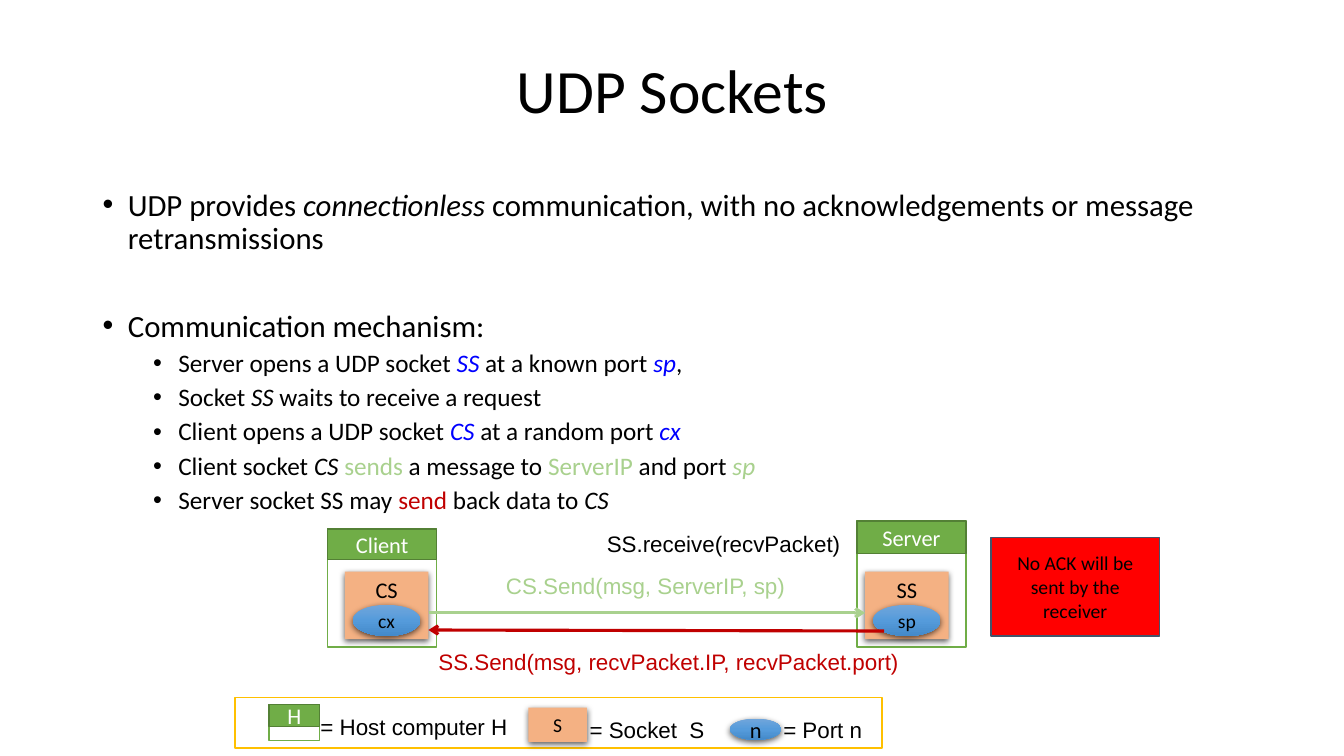
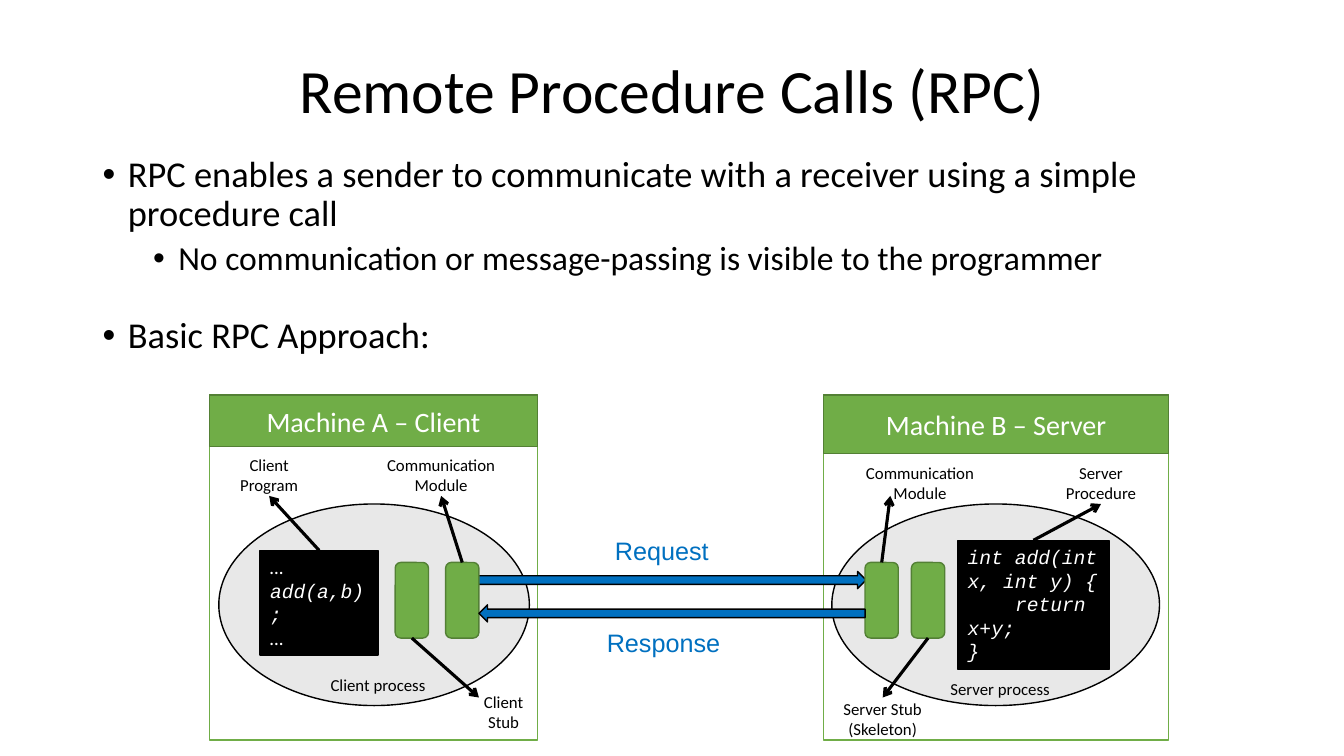
from dataclasses import dataclass
from typing import Optional, Union

from lxml import etree
from pptx import Presentation
from pptx.dml.color import RGBColor
from pptx.enum.shapes import MSO_CONNECTOR, MSO_SHAPE
from pptx.enum.text import MSO_ANCHOR, PP_ALIGN
from pptx.oxml.ns import qn
from pptx.shapes.autoshape import Shape
from pptx.slide import Slide
from pptx.util import Inches, Pt

RECT, OVAL = MSO_SHAPE.RECTANGLE, MSO_SHAPE.OVAL
STUB, ARROW = MSO_SHAPE.FLOWCHART_ALTERNATE_PROCESS, MSO_SHAPE.RIGHT_ARROW
STRAIGHT = MSO_CONNECTOR.STRAIGHT
TOP, MIDDLE = MSO_ANCHOR.TOP, MSO_ANCHOR.MIDDLE
LEFT, CENTER = PP_ALIGN.LEFT, PP_ALIGN.CENTER
TOP_SIDE, BOTTOM_SIDE = 0, 2
TITLE_ONLY = 5
SANS, ARIAL, MONO = "Calibri", "Arial", "Courier New"

COLORS = {
    "black": "000000", "white": "FFFFFF", "green": "70AD47",
    "dark_green": "538035", "light_green": "A9D18E", "orange": "F4B183",
    "gold": "FFC000", "red": "FF0000", "dark_red": "C00000",
    "slate": "44546A", "blue": "0000FF", "arrow_blue": "0070C0",
    "gray": "8C8C8C", "port_top": "71A6DB", "port_mid": "559BDB",
    "port_end": "448ACA",
}
PORT_STOPS = ((0, "port_top"), (50, "port_mid"), (100, "port_end"))


@dataclass(frozen=True)
class Box:
    x: float
    y: float
    w: float
    h: float


@dataclass(frozen=True)
class Span:
    text: str
    color: str = "black"
    italic: bool = False


@dataclass(frozen=True)
class Bullet:
    spans: tuple[Span, ...]
    size: float
    level: int = 0
    before: float = 10


@dataclass(frozen=True)
class Label:
    text: str
    box: Box
    color: str = "black"


@dataclass(frozen=True)
class Endpoint:
    host: str
    host_box: Box
    header: float
    socket: str
    port: str
    socket_x: float


@dataclass(frozen=True)
class Machine:
    title: str
    box: Box
    header: float
    process: Box


@dataclass(frozen=True)
class Callout:
    source: Shape
    side: int
    target: Union[Shape, tuple[float, float]]


def rgb(name: str) -> RGBColor:
    return RGBColor.from_string(COLORS[name])


def place(box: Box) -> tuple[int, ...]:
    return tuple(Inches(v) for v in (box.x, box.y, box.w, box.h))


def set_font(r, size: float, color: str, font: str = SANS, italic: bool = False) -> None:
    r.font.size, r.font.name, r.font.italic = Pt(size), font, italic
    r.font.color.rgb = rgb(color)


def write(sp: Shape, text: str, size: float, color: str = "black", font: str = SANS,
          align: PP_ALIGN = CENTER, anchor: MSO_ANCHOR = MIDDLE) -> None:
    tf = sp.text_frame
    tf.word_wrap, tf.vertical_anchor = True, anchor
    tf.text = text
    for p in tf.paragraphs:
        p.alignment = align
        for r in p.runs:
            set_font(r, size, color, font)


def add_text(slide: Slide, label: Label, size: float, font: str = SANS,
             align: PP_ALIGN = CENTER, anchor: MSO_ANCHOR = MIDDLE) -> Shape:
    sp = slide.shapes.add_textbox(*place(label.box))
    write(sp, label.text, size, label.color, font, align, anchor)
    return sp


def add_shape(slide: Slide, kind: MSO_SHAPE, box: Box, fill: str,
              line: Optional[str] = None) -> Shape:
    sp = slide.shapes.add_shape(kind, *place(box))
    sp.shadow.inherit = False
    sp.fill.solid()
    sp.fill.fore_color.rgb = rgb(fill)
    if line:
        sp.line.color.rgb = rgb(line)
        sp.line.width = Pt(1)
    else:
        sp.line.fill.background()
    return sp


def color_xml(parent, color: str, alpha: Optional[int] = None) -> None:
    clr = etree.SubElement(parent, qn("a:srgbClr"), val=COLORS[color])
    if alpha is not None:
        etree.SubElement(clr, qn("a:alpha"), val=str(alpha * 1000))


def add_shadow(sp: Shape) -> None:
    effects = sp._element.spPr.find(qn("a:effectLst"))
    shadow = etree.SubElement(effects, qn("a:outerShdw"), blurRad=str(Pt(4.5)),
                              dist=str(Pt(1.5)), dir="5400000", rotWithShape="0")
    color_xml(shadow, "black", 63)


def add_arrow_line(slide: Slide, start: tuple[float, float], end: tuple[float, float],
                   color: str):
    cx = slide.shapes.add_connector(STRAIGHT, *(Inches(v) for v in (*start, *end)))
    cx.line.color.rgb = rgb(color)
    cx.line.width = Pt(2.25)
    etree.SubElement(cx.line._get_or_add_ln(), qn("a:tailEnd"), type="arrow")
    etree.SubElement(cx._element.spPr, qn("a:effectLst"))
    return cx


def add_callout(slide: Slide, callout: Callout) -> None:
    joined = isinstance(callout.target, Shape)
    end = (0, 0) if joined else callout.target
    cx = add_arrow_line(slide, (0, 0), end, "black")
    cx.begin_connect(callout.source, callout.side)
    if joined:
        cx.end_connect(callout.target, BOTTOM_SIDE - callout.side)


def add_host(slide: Slide, box: Box, header: float, name: str, size: float = 16) -> None:
    add_shape(slide, RECT, box, "white", "green")
    band = add_shape(slide, RECT, Box(box.x, box.y, box.w, header), "green", "dark_green")
    write(band, name, size, "white")


def add_socket(slide: Slide, box: Box, name: str, size: float) -> None:
    sp = add_shape(slide, RECT, box, "orange")
    add_shadow(sp)
    write(sp, name, size, anchor=TOP)


def add_port(slide: Slide, box: Box, name: str, size: float) -> None:
    sp = add_shape(slide, OVAL, box, "port_mid")
    sp.fill.gradient()
    sp.fill.gradient_angle = 270
    stops = sp._element.spPr.find(".//" + qn("a:gsLst"))
    stops.clear()
    for pos, color in PORT_STOPS:
        color_xml(etree.SubElement(stops, qn("a:gs"), pos=str(pos * 1000)), color)
    add_shadow(sp)
    write(sp, name, size)


def add_bullets(slide: Slide, box: Box, bullets: list[Bullet]) -> None:
    tf = slide.shapes.add_textbox(*place(box)).text_frame
    tf.word_wrap = True
    for i, bullet in enumerate(bullets):
        p = tf.paragraphs[0] if i == 0 else tf.add_paragraph()
        p.level, p.line_spacing, p.space_before = bullet.level, 0.9, Pt(bullet.before)
        pPr = p._p.get_or_add_pPr()
        pPr.set("marL", str(Inches(0.25 + 0.5 * bullet.level)))
        pPr.set("indent", str(Inches(-0.25)))
        etree.SubElement(pPr, qn("a:buFont"), typeface=ARIAL)
        etree.SubElement(pPr, qn("a:buChar"), char="•")
        for span in bullet.spans:
            r = p.add_run()
            r.text = span.text
            set_font(r, bullet.size, span.color, italic=span.italic)


def add_code(slide: Slide, box: Box, lines: str) -> Shape:
    sp = add_shape(slide, RECT, box, "black", "black")
    write(sp, lines, 14, "white", MONO, LEFT, TOP)
    for p in sp.text_frame.paragraphs:
        for r in p.runs:
            r.font.italic = True
            r.font.name = SANS if r.text == "…" else MONO
    return sp


def add_titled_slide(prs, title: str) -> Slide:
    slide = prs.slides.add_slide(prs.slide_layouts[TITLE_ONLY])
    sp = slide.shapes.title
    sp.left, sp.top, sp.width, sp.height = place(Box(2.17, 0.35, 9, 1.15))
    write(sp, title, 44)
    sp.text_frame.paragraphs[0].line_spacing = 0.9
    return slide


def build_udp(prs) -> None:
    slide = add_titled_slide(prs, "UDP Sockets")
    steps = [
        (Span("Server opens a UDP socket "), Span("SS", "blue", True),
         Span(" at a known port "), Span("sp", "blue", True), Span(",")),
        (Span("Socket "), Span("SS", italic=True), Span(" waits to receive a request")),
        (Span("Client opens a UDP socket "), Span("CS", "blue", True),
         Span(" at a random port "), Span("cx", "blue", True)),
        (Span("Client socket "), Span("CS ", italic=True), Span("sends", "light_green"),
         Span(" a message to "), Span("ServerIP", "light_green"),
         Span(" and port "), Span("sp", "light_green", True)),
        (Span("Server socket SS may "), Span("send", "dark_red"),
         Span(" back data to "), Span("CS", italic=True)),
    ]
    add_bullets(slide, Box(0.92, 1.83, 11.75, 4.95), [
        Bullet((Span("UDP provides "), Span("connectionless ", italic=True),
                Span("communication, with no acknowledgements or message retransmissions")), 22),
        Bullet((Span("Communication mechanism:"),), 22, before=39),
        *(Bullet(spans, 18, 1, 5) for spans in steps),
    ])
    endpoints = [
        Endpoint("Server", Box(8.5, 5.17, 1.08, 1.25), 0.32, "SS", "sp", 8.58),
        Endpoint("Client", Box(3.25, 5.25, 1.08, 1.17), 0.3, "CS", "cx", 3.42),
    ]
    for e in endpoints:
        add_host(slide, e.host_box, e.header, e.host)
        add_socket(slide, Box(e.socket_x, 5.67, 0.83, 0.67), e.socket, 16)
        add_port(slide, Box(e.socket_x + 0.08, 6, 0.67, 0.31), e.port, 14)
    add_arrow_line(slide, (4.25, 6.08), (8.58, 6.08), "light_green")
    add_arrow_line(slide, (8.77, 6.26), (4.25, 6.25), "dark_red")

    add_shape(slide, RECT, Box(2.33, 6.92, 6.42, 0.5), "white", "gold")
    add_host(slide, Box(2.67, 6.99, 0.5, 0.36), 0.22, "H")
    add_socket(slide, Box(5.24, 7.02, 0.58, 0.34), "S", 14)
    add_port(slide, Box(7.24, 7.13, 0.51, 0.21), "n", 16)
    for label in (
        Label("CS.Send(msg, ServerIP, sp)", Box(4.92, 5.63, 3.08, 0.37), "light_green"),
        Label("SS.Send(msg, recvPacket.IP, recvPacket.port)",
              Box(4.25, 6.38, 5.17, 0.37), "dark_red"),
        Label("SS.receive(recvPacket)", Box(5.92, 5.21, 2.58, 0.37)),
        Label("= Host computer H", Box(3.08, 7.03, 2.08, 0.37)),
        Label("= Socket  S", Box(5.75, 7.06, 1.5, 0.37)),
        Label("= Port n", Box(7.67, 7.06, 1.25, 0.37)),
    ):
        add_text(slide, label, 16, ARIAL, LEFT, TOP)
    note = add_shape(slide, RECT, Box(9.83, 5.33, 1.67, 0.98), "red", "slate")
    write(note, "No ACK will be sent by the receiver", 14)


def build_rpc(prs) -> None:
    slide = add_titled_slide(prs, "Remote Procedure Calls (RPC)")
    for m in (
        Machine("Machine B – Server", Box(8.17, 3.92, 3.42, 3.42), 0.58, Box(8.25, 5, 3.25, 2)),
        Machine("Machine A – Client", Box(2.08, 3.92, 3.25, 3.42), 0.51, Box(2.17, 5, 3.08, 2)),
    ):
        add_host(slide, m.box, m.header, m.title, 20)
        oval = add_shape(slide, OVAL, m.process, "gray", "black")
        clr = oval._element.spPr.find(qn("a:solidFill")).find(qn("a:srgbClr"))
        etree.SubElement(clr, qn("a:alpha"), val="20000")
    add_bullets(slide, Box(0.92, 1.5, 11.16, 2.25), [
        Bullet((Span("RPC enables a sender to communicate with a receiver "
                     "using a simple procedure call"),), 26),
        Bullet((Span("No communication or message-passing is visible to the programmer"),),
               24, 1, 5),
        Bullet((Span("Basic RPC Approach:"),), 26, before=28),
    ])
    procedure = add_code(slide, Box(9.5, 5.36, 1.5, 1.28),
                         "int add(int x, int y) {\nreturn x+y;\n}")
    body_pPr = procedure.text_frame.paragraphs[1]._p.get_or_add_pPr()
    body_pPr.set("indent", str(Inches(0.47)))
    program = add_code(slide, Box(2.58, 5.46, 1.17, 1.04), "…\nadd(a,b);\n…")
    add_shape(slide, ARROW, Box(4.67, 5.67, 3.92, 0.17), "arrow_blue", "black")
    client_stub, client_comm, server_comm, server_stub = (
        add_shape(slide, STUB, Box(x, 5.58, 0.33, 0.75), "green", "dark_green")
        for x in (3.92, 4.42, 8.58, 9.04))
    program_tag, client_comm_tag, procedure_tag, server_stub_tag, *_ = [
        add_text(slide, label, 12) for label in (
            Label("Client Program", Box(2.17, 4.5, 1, 0.42)),
            Label("Communication Module", Box(3.5, 4.5, 1.75, 0.42)),
            Label("Server Procedure", Box(10.42, 4.58, 1, 0.42)),
            Label("Server Stub (Skeleton)", Box(8.17, 6.92, 1.17, 0.42)),
            Label("Communication Module", Box(8.25, 4.58, 1.75, 0.42)),
            Label("Client Stub", Box(4.58, 6.85, 0.83, 0.42)),
            Label("Client process", Box(3, 6.58, 1.5, 0.42)),
            Label("Server process", Box(9.17, 6.67, 1.5, 0.33)),
        )]
    for callout in (
        Callout(client_stub, BOTTOM_SIDE, (4.75, 6.92)),
        Callout(program, TOP_SIDE, program_tag),
        Callout(client_comm, TOP_SIDE, client_comm_tag),
        Callout(server_comm, TOP_SIDE, (8.83, 4.92)),
        Callout(server_stub, BOTTOM_SIDE, server_stub_tag),
        Callout(procedure, TOP_SIDE, procedure_tag),
    ):
        add_callout(slide, callout)
    response = add_shape(slide, ARROW, Box(4.75, 6, 3.83, 0.17), "arrow_blue", "black")
    response.rotation = 180
    for label in (Label("Request", Box(6, 5.26, 1.17, 0.4), "arrow_blue"),
                  Label("Response", Box(5.92, 6.17, 1.33, 0.4), "arrow_blue")):
        add_text(slide, label, 18, ARIAL, LEFT, TOP)


def main() -> None:
    prs = Presentation()
    prs.slide_width, prs.slide_height = Inches(13.33), Inches(7.5)
    build_udp(prs)
    build_rpc(prs)
    prs.save("out.pptx")


if __name__ == "__main__":
    main()
